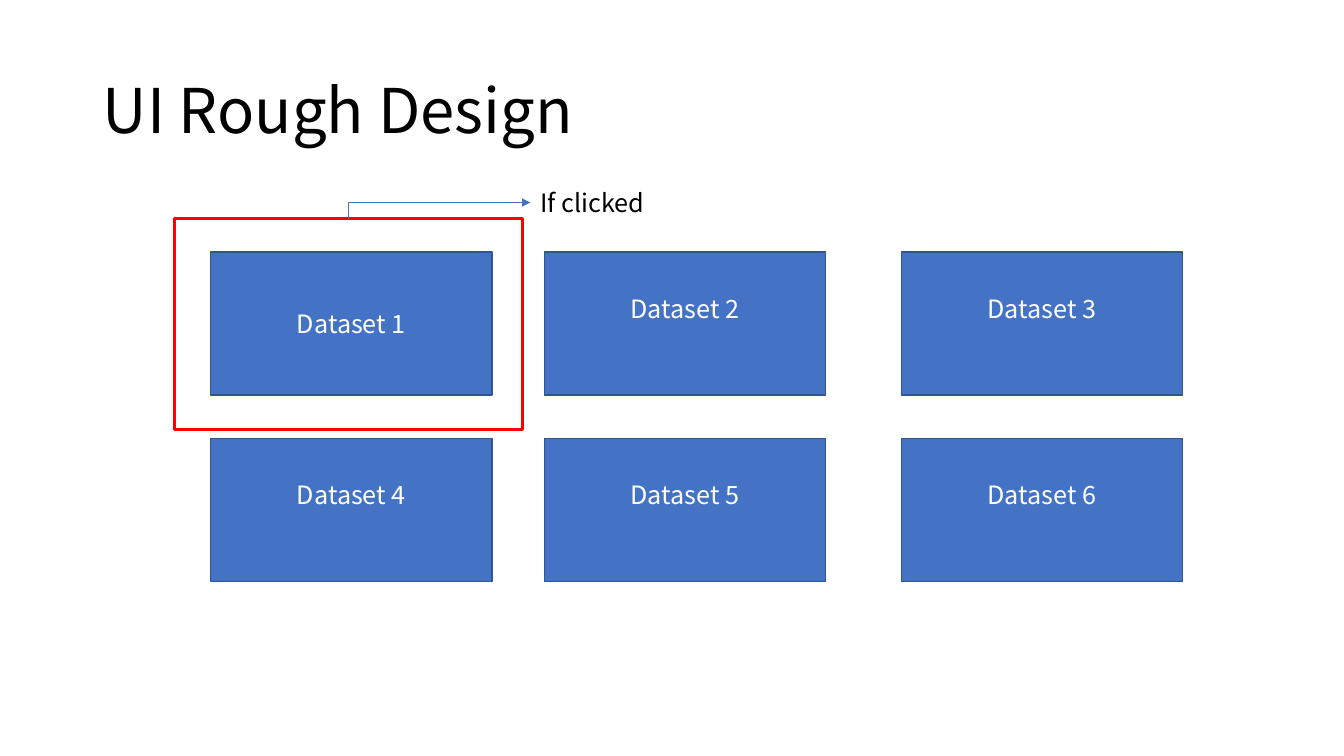
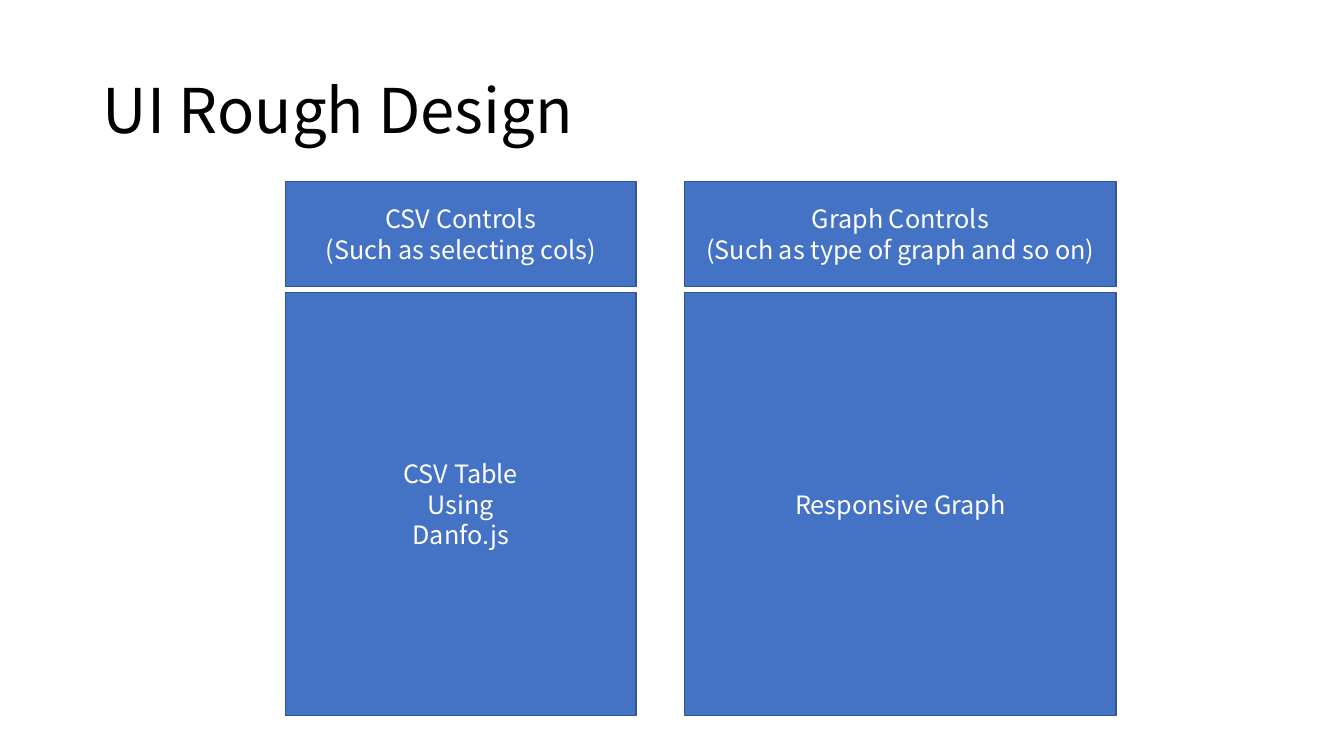
from lxml import etree
from pptx import Presentation
from pptx.dml.color import RGBColor
from pptx.enum import shapes, text
from pptx.oxml import ns
from pptx.util import Inches, Pt

BLUE = RGBColor(0x44, 0x72, 0xC4)
DARK_BLUE = RGBColor(0x32, 0x54, 0x91)
RED = RGBColor(0xFF, 0x00, 0x00)
BLACK = RGBColor(0x00, 0x00, 0x00)
WHITE = RGBColor(0xFF, 0xFF, 0xFF)
FONT = "Noto Sans CJK KR"


def write(shape, words, size=18, color=BLACK, align=text.PP_ALIGN.LEFT,
          anchor=text.MSO_ANCHOR.TOP, spacing=None, bottom=0.05):
    """Write one paragraph per line of words into a shape."""
    frame = shape.text_frame
    frame.word_wrap = True
    frame.vertical_anchor = anchor
    frame.margin_bottom = Inches(bottom)
    frame.text = words
    for paragraph in frame.paragraphs:
        paragraph.alignment = align
        paragraph.line_spacing = spacing
        font = paragraph.runs[0].font
        font.name, font.size = FONT, Pt(size)
        font.color.rgb = color


class Deck:
    """Hold the presentation, its style and the current slide."""

    def __init__(self):
        """Start an empty widescreen presentation."""
        self.presentation = Presentation()
        self.presentation.slide_width = Inches(13.33)
        self.presentation.slide_height = Inches(7.5)
        self.slide = None

    def add_slide(self, title):
        """Start a slide with the shared title style."""
        layout = self.presentation.slide_layouts[6]
        self.slide = self.presentation.slides.add_slide(layout)
        self.label(title, 0.92, 0.4, 11.5, 1.45, size=44, spacing=0.9,
                   anchor=text.MSO_ANCHOR.MIDDLE)

    def label(self, words, left, top, width, height, **style):
        """Add a text box."""
        box = self.slide.shapes.add_textbox(
            Inches(left), Inches(top), Inches(width), Inches(height))
        write(box, words, **style)

    def rectangle(self, left, top, width, height, line, weight):
        """Add an unfilled rectangle and return it."""
        shape = self.slide.shapes.add_shape(
            shapes.MSO_SHAPE.RECTANGLE,
            Inches(left), Inches(top), Inches(width), Inches(height))
        shape.shadow.inherit = False
        shape.fill.background()
        shape.line.color.rgb = line
        shape.line.width = Pt(weight)
        return shape

    def panel(self, words, left, top, width, height, **style):
        """Add a blue panel with centred white text."""
        shape = self.rectangle(left, top, width, height, DARK_BLUE, 1)
        shape.fill.solid()
        shape.fill.fore_color.rgb = BLUE
        write(shape, words, color=WHITE, align=text.PP_ALIGN.CENTER,
              anchor=text.MSO_ANCHOR.MIDDLE, **style)

    def bent_arrow(self, start_x, start_y, end_x, end_y):
        """Add an arrow that goes up from its start, then right to its end."""
        middle_x, middle_y = (start_x + end_x) / 2, (start_y + end_y) / 2
        # The preset runs across then down, so it is drawn turned by 90 degrees.
        half_width, half_height = (start_y - end_y) / 2, (end_x - start_x) / 2
        arrow = self.slide.shapes.add_connector(
            shapes.MSO_CONNECTOR.ELBOW,
            Inches(middle_x + half_width), Inches(middle_y + half_height),
            Inches(middle_x - half_width), Inches(middle_y - half_height))
        arrow.line.color.rgb = BLUE
        arrow.line.width = Pt(0.5)
        properties = arrow.element.spPr
        properties.find(ns.qn("a:xfrm")).set("rot", "5400000")
        properties.find(ns.qn("a:prstGeom")).set("prst", "bentConnector2")
        line = properties.find(ns.qn("a:ln"))
        etree.SubElement(line, ns.qn("a:tailEnd"), type="triangle")
        etree.SubElement(properties, ns.qn("a:effectLst"))


def build_dataset_slide(deck):
    """Show the grid of datasets with the first one selected."""
    deck.add_slide("UI Rough Design")
    columns, rows = (2.09, 5.4, 8.94), (2.5, 4.35)
    cells = [(left, top) for top in rows for left in columns]
    for number, (left, top) in enumerate(cells, start=1):
        # All but the selected dataset hold their name one line higher.
        deck.panel(f"Dataset {number}", left, top, 2.79, 1.42,
                   bottom=0.05 if number == 1 else 0.35)
    deck.rectangle(1.73, 2.17, 3.45, 2.09, RED, 2.25)
    deck.label("If clicked", 5.26, 1.81, 3.06, 0.4)
    deck.bent_arrow(3.45, 2.17, 5.26, 2.01)


def build_detail_slide(deck):
    """Show the table and the graph, each below its controls."""
    deck.add_slide("UI Rough Design")
    columns = (
        (2.83, 3.48, "CSV Controls\n(Such as selecting cols)",
         "CSV Table\nUsing\nDanfo.js"),
        (6.79, 4.28, "Graph Controls\n(Such as type of graph and so on)",
         "Responsive Graph"),
    )
    for left, width, controls, content in columns:
        deck.panel(content, left, 2.9, width, 4.2)
        deck.panel(controls, left, 1.8, width, 1.04)


deck = Deck()
build_dataset_slide(deck)
build_detail_slide(deck)
deck.presentation.save("out.pptx")
